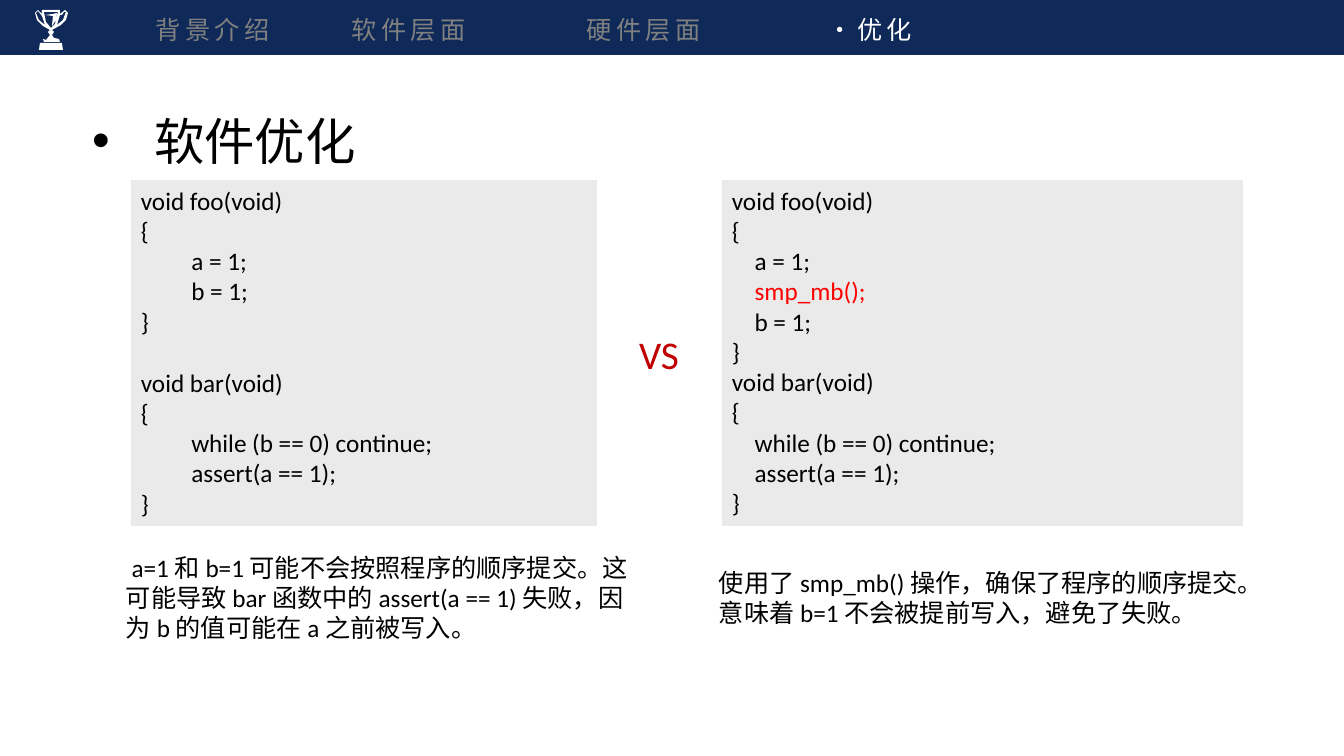
"""Build the slide on software optimisation with memory barriers."""
from lxml import etree
from pptx import Presentation
from pptx.dml.color import RGBColor
from pptx.enum.shapes import MSO_SHAPE
from pptx.enum.text import MSO_ANCHOR, MSO_AUTO_SIZE, PP_ALIGN
from pptx.oxml.ns import qn
from pptx.util import Emu, Pt

RECTANGLE = MSO_SHAPE.RECTANGLE
TOP, MIDDLE = MSO_ANCHOR.TOP, MSO_ANCHOR.MIDDLE
LEFT, CENTER = PP_ALIGN.LEFT, PP_ALIGN.CENTER
NO_FIT = MSO_AUTO_SIZE.NONE

PX = 914400 / 100.8
LATIN, HAN = "Calibri", "Noto Sans CJK SC"
COLORS = {"navy": "0F2A59", "white": "FFFFFF", "panel": "EAEAEA", "black": "000000",
          "red": "FF0000", "versus": "C00000", "muted": "808080"}

TITLE = "软件优化"
TITLE_BOX = (82, 104, 335, 72)
TITLE_INDENT = 62
BAR_BOX = (0, 0, 1344, 55)
NAV_BOX = (146, 9, 1198, 40)
NAV_ITEMS = [("背景介绍", "muted"), ("软件层面", "muted"),
             ("硬件层面", "muted"), ("·优化", "white")]
NAV_TABS = [196, 431, 672]
BARRIER = "smp_mb();"
BLANK_LINE = 22

PANELS = [
    ((131, 180, 466, 346),
     ["void foo(void)", "{", "\ta = 1;", "\tb = 1;", "}",
      "void bar(void)", "{", "\twhile (b == 0) continue;", "\tassert(a == 1);", "}"],
     BLANK_LINE),
    ((722, 180, 521, 346),
     ["void foo(void)", "{", "    a = 1;", "    smp_mb();", "    b = 1;", "}",
      "void bar(void)", "{", "    while (b == 0) continue;", "    assert(a == 1);", "}"],
     0),
]
LABELS = [
    ((116, 547, 540, 102), 18, "black", LEFT,
     " a=1 和 b=1 可能不会按照程序的顺序提交。这可能导致 bar 函数中的 assert(a == 1) 失败，"
     "因为 b 的值可能在 a 之前被写入。"),
    ((709, 562, 564, 72), 18, "black", LEFT,
     "使用了 smp_mb() 操作，确保了程序的顺序提交。意味着 b=1 不会被提前写入，避免了失败。"),
    ((610, 325, 98, 57), 28, "versus", CENTER, "VS"),
]
TROPHY = [
    [(35, 13), (38, 10), (42, 14), (42, 10), (60, 10), (60, 14), (65, 10), (68, 13),
     (66, 20), (61, 25), (52, 30), (54, 32), (52, 35), (54, 38), (59, 39), (60, 42),
     (44, 42), (43, 39), (46, 40), (50, 35), (48, 32), (50, 30), (43, 26), (37, 20)],
    [(36, 13), (39, 20), (45, 25), (42, 16), (38, 11)],
    [(62, 15), (60, 15), (57, 25), (63, 20), (66, 12), (64, 12)],
    [(44, 12), (46, 22), (51, 28), (55, 24), (58, 12)],
    [(53, 14), (45, 15), (53, 16), (52, 26), (56, 20), (57, 13)],
    [(40, 43), (62, 43), (63, 50), (39, 50)],
]


def px(value):
    return Emu(round(value * PX))


def color(name):
    return RGBColor.from_string(COLORS[name])


def style(font, properties, size, color_name, typeface):
    font.size = Pt(size)
    font.color.rgb = color(color_name)
    font.name = typeface
    etree.SubElement(properties, qn("a:ea"), typeface=HAN)


def style_paragraph(para, size, color_name, typeface=LATIN, align=LEFT):
    para.alignment = align
    font = para.font
    font.size = Pt(size)
    properties = para._p.pPr.find(qn("a:defRPr"))
    style(font, properties, size, color_name, typeface)


def paint(shape, color_name):
    shape.shadow.inherit = False
    shape.fill.solid()
    shape.fill.fore_color.rgb = color(color_name)
    shape.line.fill.background()


def add_panel(page, bounds, fill):
    panel = page.shapes.add_shape(RECTANGLE, *map(px, bounds))
    paint(panel, fill)
    return panel


def add_frame(page, bounds):
    frame = page.shapes.add_textbox(*map(px, bounds)).text_frame
    frame.word_wrap = True
    return frame


def add_trophy(page):
    outline, *holes = TROPHY
    builder = page.shapes.build_freeform(*outline[0], scale=PX)
    builder.add_line_segments(outline[1:], close=True)
    for points in holes:
        builder.move_to(*points[0])
        builder.add_line_segments(points[1:], close=True)
    paint(builder.convert_to_shape(), "white")


def add_title(page):
    title = page.shapes.title
    title.left, title.top, title.width, title.height = map(px, TITLE_BOX)
    frame = title.text_frame
    frame.text = TITLE
    frame.auto_size = NO_FIT
    frame.vertical_anchor = MIDDLE
    para = frame.paragraphs[0]
    properties = para._p.get_or_add_pPr()
    properties.set("marL", str(px(TITLE_INDENT)))
    properties.set("indent", str(-px(TITLE_INDENT)))
    etree.SubElement(properties, qn("a:buFont"), typeface="Arial")
    etree.SubElement(properties, qn("a:buChar"), char="•")
    style_paragraph(para, 36, "black", HAN)


def add_navigation(page):
    para = add_frame(page, NAV_BOX).paragraphs[0]
    tabs = etree.SubElement(para._p.get_or_add_pPr(), qn("a:tabLst"))
    for position in NAV_TABS:
        etree.SubElement(tabs, qn("a:tab"), pos=str(px(position)), algn="l")
    for index, (label, color_name) in enumerate(NAV_ITEMS):
        span = para.add_run()
        span.text = "\t" + label if index else label
        properties = span._r.get_or_add_rPr()
        properties.set("spc", "300")
        style(span.font, properties, 18, color_name, HAN)


def add_code(page, bounds, lines, gap):
    frame = add_panel(page, bounds, "panel").text_frame
    frame.word_wrap = True
    frame.vertical_anchor = TOP
    frame.text = "\n".join(lines)
    for para, line in zip(frame.paragraphs, lines):
        if gap and line == "void bar(void)":
            para.space_before = Pt(gap)
        style_paragraph(para, 18, "red" if line.strip() == BARRIER else "black")


def main():
    deck = Presentation()
    deck.slide_width, deck.slide_height = px(1344), px(756)
    page = deck.slides.add_slide(deck.slide_layouts[5])
    add_panel(page, BAR_BOX, "navy")
    add_trophy(page)
    add_title(page)
    for panel in PANELS:
        add_code(page, *panel)
    for bounds, size, color_name, align, text in LABELS:
        frame = add_frame(page, bounds)
        frame.text = text
        style_paragraph(frame.paragraphs[0], size, color_name, align=align)
    add_navigation(page)
    deck.save("out.pptx")


if __name__ == "__main__":
    main()
